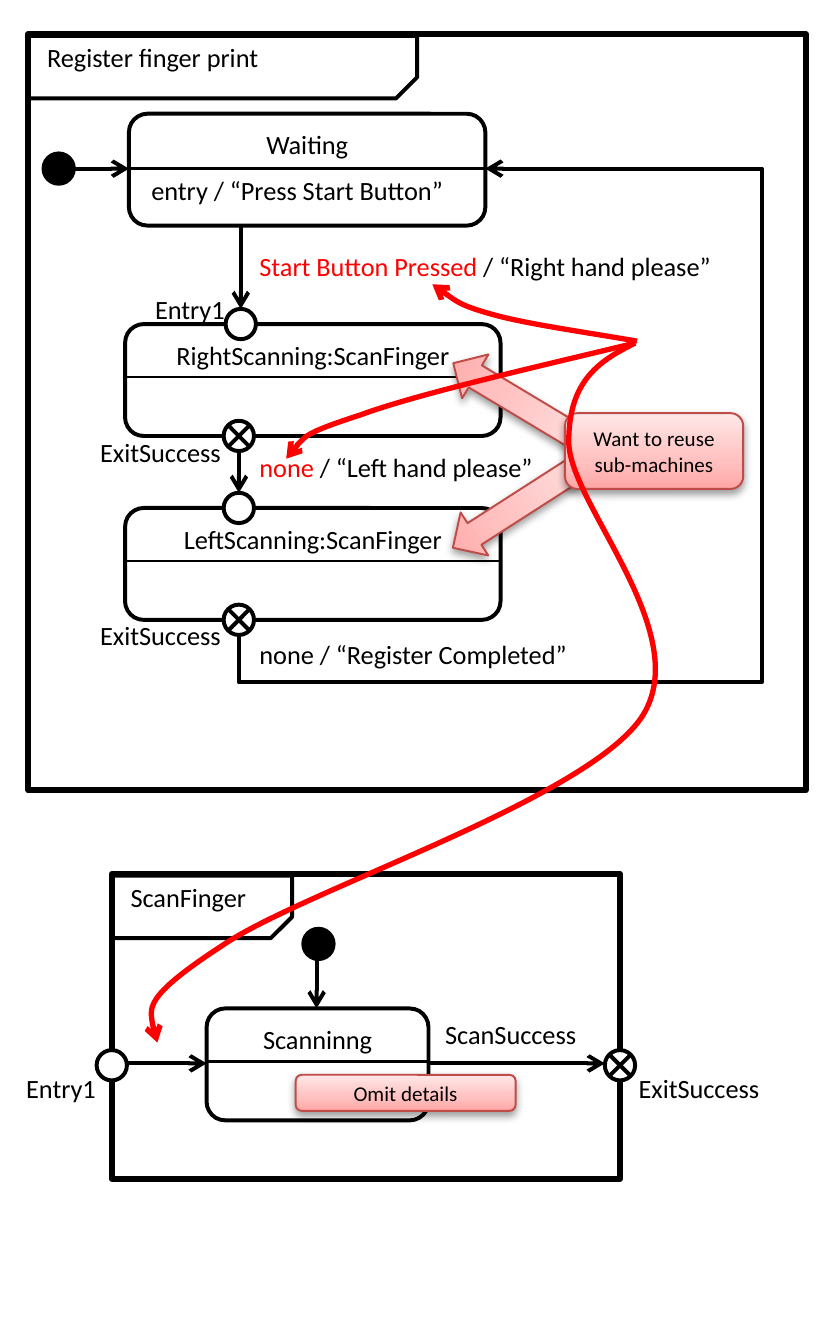
from copy import deepcopy
from pptx import Presentation, util as u
from pptx.dml.color import RGBColor
from pptx.enum import shapes, text
from pptx.oxml import parse_xml
from pptx.oxml.ns import nsdecls, qn

Kind = shapes.MSO_SHAPE
BLACK, WHITE, RED, ROSE = "000000", "FFFFFF", "FF0000", "BF4C48"
BLUSH = [(0, "FFA6A5"), (0.35, "FFC0BF"), (1, "FFE7E7")]
DOT, STATE = 0.16, 0.59


def color(code):
    """Turn a hex string into a colour."""
    return RGBColor.from_string(code)


def node(xml):
    """Make one drawing element from its inner markup."""
    return parse_xml(xml.replace(" ", f" {nsdecls('a')} ", 1))


class Chart:
    """Holds the style and the slide of a state chart."""

    def __init__(self, slide, font="Calibri", size=10):
        """Keep the slide and the text style."""
        self.slide, self.font, self.size = slide, font, size

    def words(self, shape, runs, size=None, align=text.PP_ALIGN.LEFT,
              anchor=text.MSO_ANCHOR.TOP):
        """Put (words, colour) runs into a shape."""
        frame = shape.text_frame
        frame.word_wrap, frame.vertical_anchor = True, anchor
        para = frame.paragraphs[0]
        para.alignment = align
        for part, code in runs:
            run = para.add_run()
            run.text = part
            run.font.name, run.font.size = self.font, u.Pt(size or self.size)
            run.font.color.rgb = color(code)

    def label(self, x, y, w, *runs):
        """Add a text box; a bare string is black."""
        box = self.slide.shapes.add_textbox(*map(u.Inches, (x, y, w, 0.27)))
        self.words(box, [(r, BLACK) if isinstance(r, str) else r for r in runs])
        box.text_frame.auto_size = text.MSO_AUTO_SIZE.SHAPE_TO_FIT_TEXT

    def shape(self, kind, x, y, w, h, fill=None, line=BLACK, width=1.5, host=None):
        """Add a preset shape without shadow."""
        item = (host or self.slide).shapes.add_shape(kind, *map(u.Inches, (x, y, w, h)))
        item.shadow.inherit = False
        if fill:
            item.fill.solid()
            item.fill.fore_color.rgb = color(fill)
        else:
            item.fill.background()
        item.line.color.rgb, item.line.width = color(line), u.Pt(width)
        return item

    def line(self, x, y, x2, y2, width=1.5, head=False, host=None,
             kind=shapes.MSO_CONNECTOR.STRAIGHT):
        """Add a connector, with an arrowhead at its end if asked."""
        item = (host or self.slide).shapes.add_connector(
            kind, *map(u.Inches, (x, y, x2, y2)))
        item.line.color.rgb, item.line.width = color(BLACK), u.Pt(width)
        if head:
            self.head(item)
        item._element.spPr.append(node("<a:effectLst />"))
        return item

    def head(self, item):
        """Put an open arrowhead at the end of a line."""
        item.line._get_or_add_ln().append(node('<a:tailEnd type="arrow"/>'))

    def dot(self, x, y, fill=WHITE, host=None):
        """Add a start or entry point."""
        self.shape(Kind.FLOWCHART_CONNECTOR, x, y, DOT, DOT, fill, host=host)

    def leave(self, x, y):
        """Add a crossed exit point."""
        group = self.slide.shapes.add_group_shape()
        self.dot(x, y, host=group)
        near, far = 0.02, DOT - 0.02
        for top, low in ((near, far), (far, near)):
            self.line(x + near, y + top, x + far, y + low, host=group)

    def state(self, x, y, w, name, mid=0.28, width=1):
        """Add a state with its name above a rule."""
        box = self.shape(Kind.ROUNDED_RECTANGLE, x, y, w, STATE)
        self.words(box, [(name, BLACK)], align=text.PP_ALIGN.CENTER)
        self.line(x, y + mid, x + w, y + mid, width)

    def frame(self, x, y, w, h, tab, name):
        """Add a machine frame with a name tab."""
        self.shape(Kind.RECTANGLE, x, y, w, h, width=2.25)
        snip = self.shape(Kind.SNIP_1_RECTANGLE, x, y + 0.01, tab, 0.33)
        snip.adjustments[0] = 0.34
        snip._element.spPr.xfrm.set("flipV", "1")
        self.label(x, y - 0.01, tab, name)

    def note(self, kind, x, y, w, h, words="", turn=0):
        """Add a rose note or block arrow with a soft shadow."""
        item = self.shape(kind, x, y, w, h, line=ROSE, width=0.75)
        item.rotation = turn
        item.fill.gradient()
        item.fill.gradient_angle = 90
        stops = item._element.spPr.find(qn("a:gradFill")).find(qn("a:gsLst"))
        stops.append(deepcopy(stops[0]))
        for stop, (place, code) in zip(item.fill.gradient_stops, BLUSH):
            stop.position, stop.color.rgb = place, color(code)
        item._element.spPr.find(qn("a:effectLst")).append(node(
            '<a:outerShdw blurRad="40000" dist="20000" dir="5400000" rotWithShape="0">'
            '<a:srgbClr val="000000"><a:alpha val="38000"/></a:srgbClr></a:outerShdw>'))
        if words:
            self.words(item, [(words, BLACK)], 8, text.PP_ALIGN.CENTER,
                       text.MSO_ANCHOR.MIDDLE)

    def curve(self, start, *parts):
        """Draw a red arrow; each part is two handles and an end point."""
        pen = self.slide.shapes.build_freeform(*map(u.Inches, start))
        pen.add_line_segments([tuple(map(u.Inches, p[2])) for p in parts], close=False)
        item = pen.convert_to_shape()
        for step, part in zip(item._element.xpath(".//a:lnTo"), parts):
            bend = node("<a:cubicBezTo />")
            for x, y in part:
                bend.append(node(f'<a:pt x="{u.Inches(x) - item.left}" '
                                 f'y="{u.Inches(y) - item.top}"/>'))
            step.getparent().replace(step, bend)
        item.fill.background()
        item.shadow.inherit = False
        item.line.color.rgb, item.line.width = color(RED), u.Pt(2)
        self.head(item)

    def loop(self):
        """Lead the last exit back round to the first state."""
        item = self.line(3.14, 2.77, 0.68, 1.47, head=True,
                         kind=shapes.MSO_CONNECTOR.ELBOW)
        item._element.spPr.xfrm.set("rot", "5400000")
        geom = item._element.spPr.find(qn("a:prstGeom"))
        geom.set("prst", "bentConnector4")
        guides = geom.find(qn("a:avLst"))
        for name, val in (("adj1", -10200), ("adj2", 212200)):
            guides.append(node(f'<a:gd name="{name}" fmla="val {val}"/>'))


deck = Presentation()
deck.slide_width, deck.slide_height = u.Inches(4.33), u.Inches(7.09)
chart = Chart(deck.slides.add_slide(deck.slide_layouts[6]))

# Register machine
chart.frame(0.15, 0.18, 4.1, 3.99, 2.05, "Register finger print")
chart.line(0.39, 0.89, 0.68, 0.89, head=True)
chart.dot(0.23, 0.81, BLACK)
chart.state(0.68, 0.6, 1.88, "Waiting", 0.29)
chart.label(0.7, 0.87, 2.99, "entry / “Press Start Button”")
chart.line(1.27, 1.19, 1.27, 1.63, head=True)
chart.label(0.72, 1.5, 0.73, "Entry1")
for y, side, x in ((1.71, "Right", 1.19), (2.68, "Left", 1.18)):
    chart.state(0.66, y, 1.98, f"{side}Scanning:ScanFinger")
    chart.dot(x, y - 0.08)
    chart.leave(1.18, y + 0.51)
    chart.label(0.43, y + 0.54, 0.89, "ExitSuccess")
chart.line(1.26, 2.38, 1.26, 2.6, head=True)
chart.loop()
chart.label(1.27, 1.27, 2.99, ("Start Button Pressed", RED), " / “Right hand please”")
chart.label(1.27, 2.33, 2.99, ("none", RED), " / “Left hand please”")
chart.label(1.27, 3.32, 2.99, "none / “Register Completed”")

# Scan machine
chart.frame(0.59, 4.61, 2.68, 1.61, 0.95, "ScanFinger")
chart.dot(1.6, 4.9, BLACK)
chart.line(1.67, 5.06, 1.67, 5.32, head=True)
chart.state(1.09, 5.32, 1.17, "Scanninng")
chart.line(0.67, 5.61, 1.09, 5.61, head=True)
chart.line(2.26, 5.61, 3.19, 5.61, head=True)
chart.dot(0.51, 5.54)
chart.leave(3.19, 5.54)
chart.label(0.04, 5.61, 0.73, "Entry1")
chart.label(3.27, 5.61, 0.86, "ExitSuccess")
chart.label(2.25, 5.32, 1.56, "ScanSuccess")

# Remarks
chart.note(Kind.DOWN_ARROW, 2.62, 1.71, 0.27, 0.85, turn=121)
chart.note(Kind.DOWN_ARROW, 2.62, 2.22, 0.27, 0.87, turn=57.3)
chart.note(Kind.ROUNDED_RECTANGLE, 2.98, 2.18, 0.94, 0.4, "Want to reuse sub-machines")
chart.curve((3.36, 1.8), [(3.07, 1.75), (2.78, 1.71), (2.6, 1.66)],
            [(2.42, 1.61), (2.35, 1.55), (2.28, 1.5)])
chart.curve((3.35, 1.81), [(2.77, 1.95), (2.2, 2.08), (1.9, 2.19)],
            [(1.59, 2.29), (1.55, 2.36), (1.51, 2.42)])
chart.curve((3.35, 1.81), [(3.17, 1.9), (3, 2), (3, 2.33)],
            [(3, 2.66), (3.68, 3.35), (3.38, 3.79)],
            [(3.07, 4.23), (1.59, 4.7), (1.17, 4.99)],
            [(0.74, 5.27), (0.79, 5.39), (0.83, 5.5)])
chart.note(Kind.ROUNDED_RECTANGLE, 1.56, 5.67, 1.16, 0.19, "Omit details")

deck.save("out.pptx")
